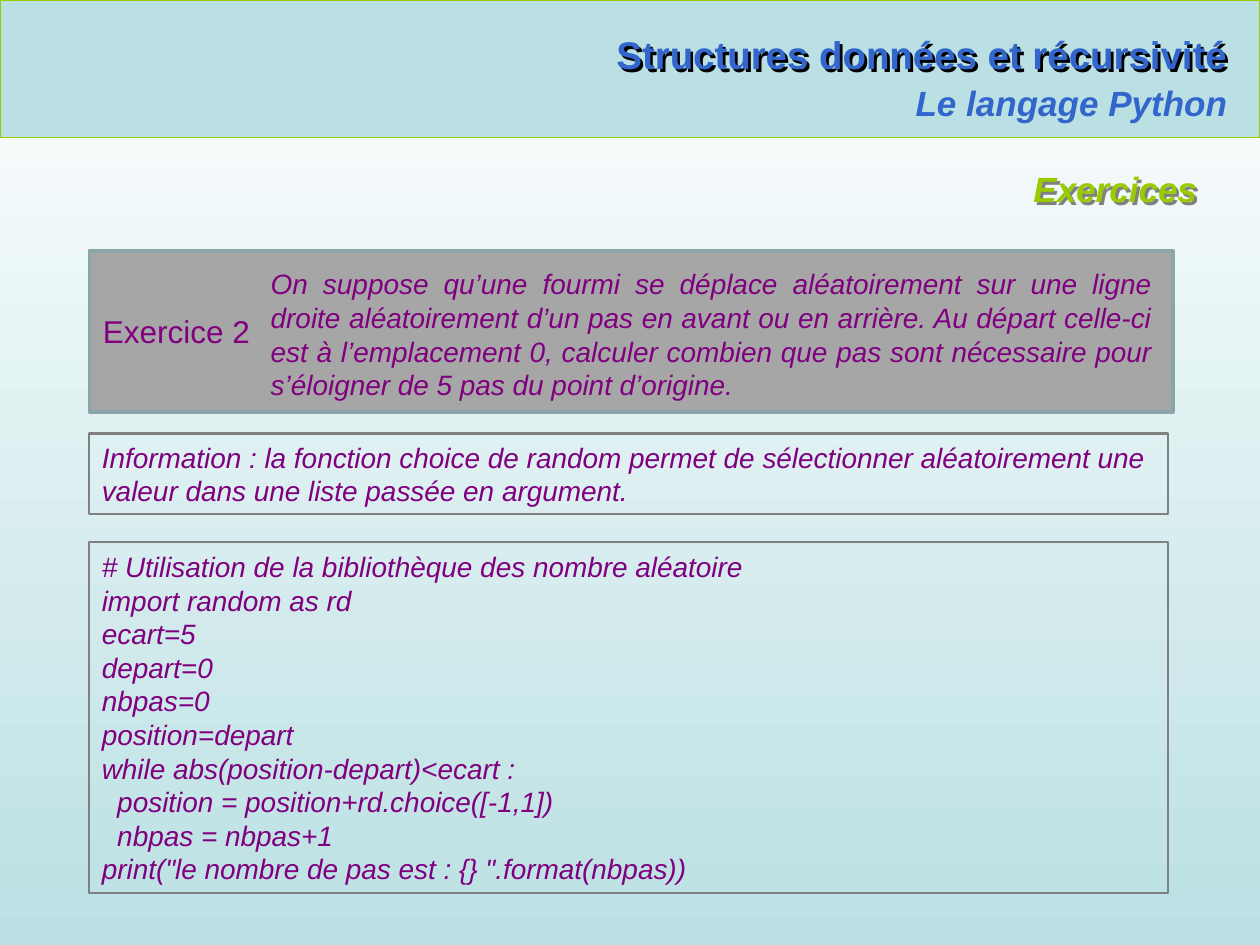
from lxml import etree
from pptx import Presentation
from pptx.dml import color
from pptx.enum import shapes, text
from pptx.oxml import ns
from pptx.util import Inches, Pt

LEFT, RIGHT = text.PP_ALIGN.LEFT, text.PP_ALIGN.RIGHT
CENTER, JUST = text.PP_ALIGN.CENTER, text.PP_ALIGN.JUSTIFY
TOP, MIDDLE = text.MSO_ANCHOR.TOP, text.MSO_ANCHOR.MIDDLE

BLUE, GREEN, PURPLE = "3366CC", "99CC00", "800080"
PALE, GREY = "BBE0E3", "808080"
BODY = {"size": Pt(16), "italic": True}
HEAD = {"size": Pt(20), "bold": True, "italic": True}

TASK = (
    "On suppose qu’une fourmi se déplace aléatoirement sur une ligne droite "
    "aléatoirement d’un pas en avant ou en arrière. Au départ celle-ci est à "
    "l’emplacement 0, calculer combien que pas sont nécessaire pour "
    "s’éloigner de 5 pas du point d’origine."
)
HINT = (
    "Information : la fonction choice de random permet de sélectionner "
    "aléatoirement une valeur dans une liste passée en argument."
)
CODE = """# Utilisation de la bibliothèque des nombre aléatoire
import random as rd
ecart=5
depart=0
nbpas=0
position=depart
while abs(position-depart)<ecart :
  position = position+rd.choice([-1,1])
  nbpas = nbpas+1
print("le nombre de pas est : {} ".format(nbpas))"""


def rgb(code):
    return color.RGBColor.from_string(code)


def place(shape, box):
    for name, size in zip(("left", "top", "width", "height"), box):
        setattr(shape, name, Inches(size))


def write(shape, words, tint, style, align=LEFT, wrap=True, anchor=TOP):
    frame = shape.text_frame
    frame.text = words
    frame.word_wrap = wrap
    frame.vertical_anchor = anchor
    frame.auto_size = text.MSO_AUTO_SIZE.SHAPE_TO_FIT_TEXT
    for para in frame.paragraphs:
        para.alignment = align
        for run in para.runs:
            run.font.color.rgb = rgb(tint)
            for key, value in {"name": "Arial", **style}.items():
                setattr(run.font, key, value)


def label(slide, box, *args, **opts):
    shape = slide.shapes.add_textbox(*map(Inches, box))
    write(shape, *args, **opts)
    return shape


def panel(slide, box, line, width, fill=None):
    shape = slide.shapes.add_shape(
        shapes.MSO_SHAPE.RECTANGLE, *map(Inches, box))
    shape.shadow.inherit = False
    if fill:
        shape.fill.solid()
        shape.fill.fore_color.rgb = rgb(fill)
    else:
        shape.fill.background()
    shape.line.color.rgb = rgb(line)
    shape.line.width = Pt(width)
    return shape


def rule(slide, start, end, tint, width):
    line = slide.shapes.add_connector(
        shapes.MSO_CONNECTOR.STRAIGHT, *map(Inches, start + end))
    line.line.color.rgb = rgb(tint)
    line.line.width = Pt(width)
    etree.SubElement(line._element.spPr, ns.qn("a:effectLst"))


def shade(shape, tint):
    shape.shadow.inherit = False
    effect = shape._element.spPr.find(ns.qn("a:effectLst"))
    outer = etree.SubElement(
        effect, ns.qn("a:outerShdw"), dist="28400", dir="2700000")
    etree.SubElement(outer, ns.qn("a:srgbClr"), val=tint)


def paint(slide):
    fill = slide.background.fill
    fill.gradient()
    fill.gradient_angle = 270
    for stop, tint in zip(fill.gradient_stops, ("FFFFFF", PALE)):
        stop.color.rgb = rgb(tint)


def header(slide):
    panel(slide, (0, 0, 10, 1.09), GREEN, 0.75, PALE)
    title = slide.shapes.title
    slide.shapes._spTree.append(title._element)
    place(title, (4.73, 0.2, 5.11, 0.47))
    write(title, "Structures données et récursivité", BLUE,
          {"size": Pt(22), "bold": True}, align=RIGHT, wrap=False)
    shade(title, "000000")
    label(slide, (7.14, 0.6, 2.7, 0.44), "Le langage Python", BLUE, HEAD,
          align=RIGHT, wrap=False)
    rule(slide, (0.34, 1.09), (9.76, 1.09), GREEN, 0.75)
    part = label(slide, (4.2, 1.28, 5.4, 0.44), "Exercices", GREEN, HEAD,
                 align=RIGHT)
    shade(part, GREY)


def main():
    deck = Presentation()
    deck.slide_width, deck.slide_height = Inches(10), Inches(7.5)
    slide = deck.slides.add_slide(deck.slide_layouts[5])
    paint(slide)
    header(slide)
    panel(slide, (0.71, 1.99, 8.6, 1.28), "8AA6A8", 2, "A6A6A6")
    label(slide, (0.71, 2.43, 1.38, 0.4), "Exercice 2", PURPLE,
          {"size": Pt(18)}, align=CENTER, wrap=False)
    label(slide, (2.05, 2.07, 7.19, 1.13), TASK, PURPLE, BODY, align=JUST)
    for top, height, words in ((3.44, 0.64, HINT), (4.3, 2.79, CODE)):
        frame = panel(slide, (0.71, top, 8.56, height), GREY, 1.25)
        write(frame, words, PURPLE, BODY, anchor=MIDDLE)
    deck.save("out.pptx")


if __name__ == "__main__":
    main()
